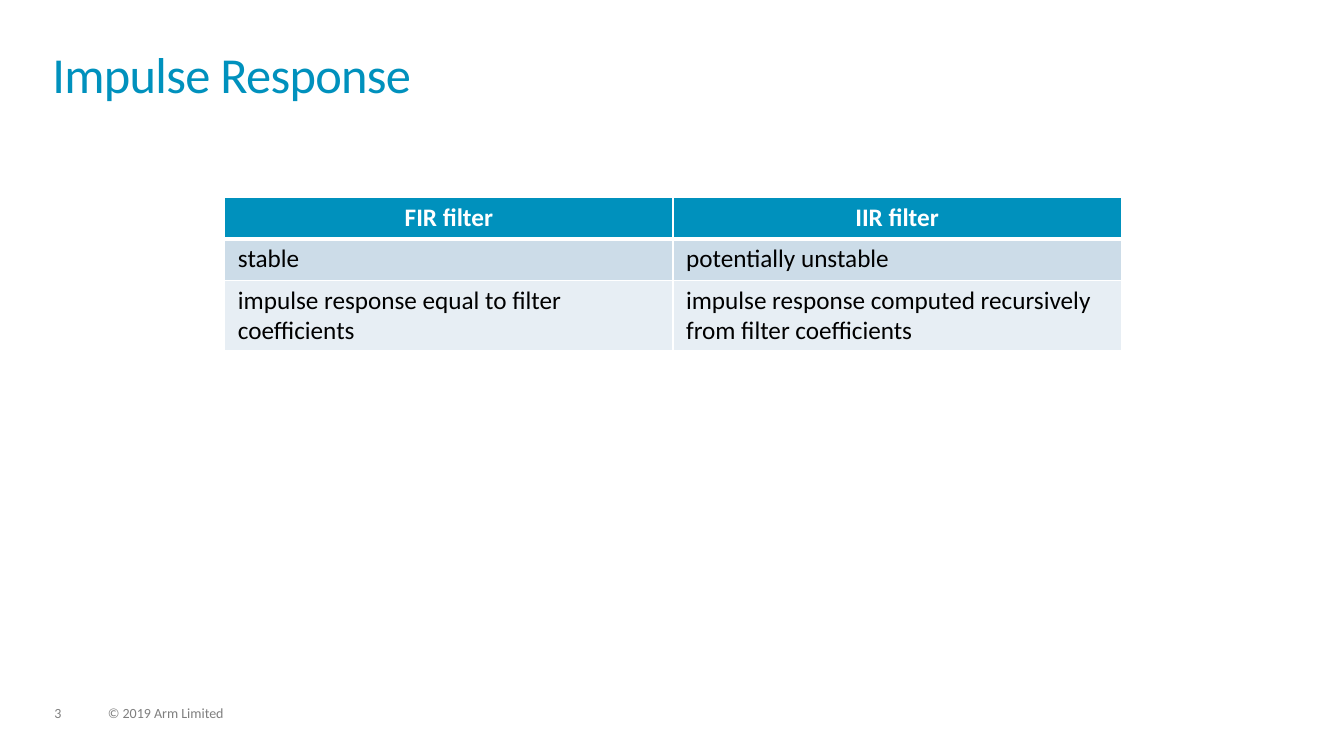
"""Build the Impulse Response slide comparing FIR and IIR filters."""
from dataclasses import dataclass

from lxml.etree import SubElement
from pptx import Presentation
from pptx.dml.color import RGBColor as Color
from pptx.enum.text import MSO_ANCHOR as Anchor, PP_ALIGN as Align
from pptx.oxml.ns import qn
from pptx.util import Inches, Pt

TITLE = "Impulse Response"
FOOTERS = [("3", 0.54, 0.34), ("© 2019 Arm Limited", 1.07, 5.07)]
FILTERS = [
    ("FIR filter", "IIR filter"),
    ("stable", "potentially unstable"),
    ("impulse response equal to filter coefficients",
     "impulse response computed recursively from filter coefficients"),
]
ROW_HEIGHTS = [0.41, 0.41, 0.69]
TABLE_LEFT, TABLE_TOP, TABLE_WIDTH = 2.23, 1.96, 8.89


@dataclass(frozen=True)
class Theme:
    font: str = "Calibri"
    accent: str = "0091BD"
    grey: str = "7F7F7F"
    white: str = "FFFFFF"
    black: str = "000000"
    bands: tuple = ("CCDCE8", "E7EEF4")
    title_size: int = 36
    table_size: int = 18
    footer_size: int = 10


THEME = Theme()


def style(para, size, color, bold=False):
    font = para.font
    font.name, font.size, font.bold = THEME.font, Pt(size), bold
    font.color.rgb = Color.from_string(color)


def add_text(page, text, place, size, color, line_spacing, anchor=Anchor.TOP):
    box = page.shapes.add_textbox(*map(Inches, place))
    frame = box.text_frame
    frame.word_wrap = True
    frame.vertical_anchor = anchor
    frame.margin_left = frame.margin_top = frame.margin_right = frame.margin_bottom = 0
    para = frame.paragraphs[0]
    para.line_spacing = line_spacing
    span = para.add_run()
    span.text = text
    style(para, size, color)
    return span


def add_borders(cell, widths):
    properties = cell._tc.get_or_add_tcPr()
    for position, (side, width) in enumerate(widths.items()):
        line = SubElement(properties, qn(f"a:{side}"), w=str(Pt(width)))
        fill = SubElement(line, qn("a:solidFill"))
        SubElement(fill, qn("a:srgbClr"), val=THEME.white)
        properties.insert(position, line)


def add_filter_table(page):
    place = (TABLE_LEFT, TABLE_TOP, TABLE_WIDTH, sum(ROW_HEIGHTS))
    table = page.shapes.add_table(len(FILTERS), len(FILTERS[0]), *map(Inches, place)).table
    table.horz_banding = False
    for row, (texts, height) in enumerate(zip(FILTERS, ROW_HEIGHTS)):
        table.rows[row].height = Inches(height)
        header = row == 0
        for column, text in enumerate(texts):
            cell = table.cell(row, column)
            cell.text = text
            cell.margin_left = cell.margin_right = Inches(0.13)
            cell.margin_top = cell.margin_bottom = Inches(0.05)
            cell.fill.solid()
            cell.fill.fore_color.rgb = Color.from_string(
                THEME.accent if header else THEME.bands[row - 1])
            add_borders(cell, {"lnL": 1, "lnR": 1, "lnT": 3 if row == 1 else 1,
                               "lnB": 3 if header else 1})
            para = cell.text_frame.paragraphs[0]
            para.alignment = Align.CENTER if header else Align.LEFT
            style(para, THEME.table_size, THEME.white if header else THEME.black, header)


def main():
    deck = Presentation()
    deck.slide_width, deck.slide_height = Inches(13.33), Inches(7.5)
    page = deck.slides.add_slide(deck.slide_layouts[6])
    for text, left, width in FOOTERS:
        add_text(page, text, (left, 7.01, width, 0.15), THEME.footer_size, THEME.grey, 0.9)
    title = add_text(page, TITLE, (0.52, 0.52, 12.28, 0.72), THEME.title_size,
                     THEME.accent, 0.85)
    title._r.get_or_add_rPr().set("spc", "-50")
    add_filter_table(page)
    deck.save("out.pptx")


if __name__ == "__main__":
    main()
